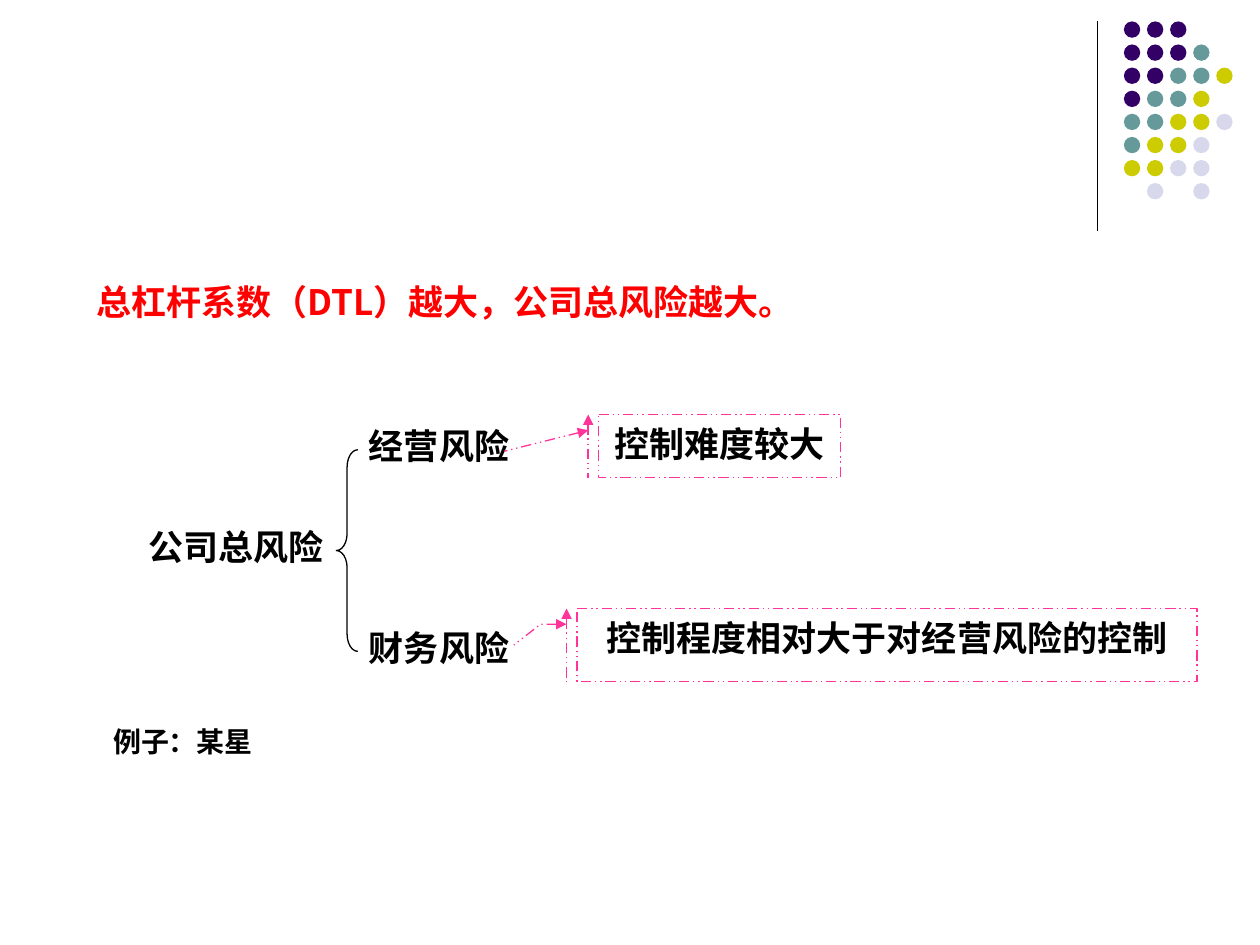
from pptx import Presentation
from pptx.dml.color import RGBColor
from pptx.enum.dml import MSO_LINE
from pptx.enum.shapes import MSO_CONNECTOR, MSO_SHAPE
from pptx.enum.text import MSO_ANCHOR, MSO_AUTO_SIZE, PP_ALIGN
from pptx.oxml.ns import qn
from pptx.util import Inches, Pt
from lxml.etree import SubElement

BLACK = RGBColor(0x00, 0x00, 0x00)
RED = RGBColor(0xFF, 0x00, 0x00)
PINK = RGBColor(0xFF, 0x33, 0x99)
PURPLE = RGBColor(0x33, 0x00, 0x66)
TEAL = RGBColor(0x66, 0x99, 0x99)
OLIVE = RGBColor(0xCC, 0xCC, 0x00)
LAVENDER = RGBColor(0xD8, 0xD8, 0xEC)

DOT_COLORS = {"P": PURPLE, "T": TEAL, "O": OLIVE, "L": LAVENDER}
DOT_ROWS = ["PPP", "PPPT", "PPTTO", "PTTO", "TTOOL", "TOOL", "OOLL", " L L"]
DOT_SIZE, DOT_PITCH = 0.13, 0.55 / 3


class SlideBuilder:
    font = "Noto Sans CJK SC"
    size = 20
    line_width = Pt(0.75)

    def __init__(self, slide):
        self.s = slide

    def fill_text(self, tf, text, color=BLACK, size=None, font=None):
        p = tf.paragraphs[0]
        r = p.add_run()
        r.text = text
        r.font.size = Pt(size or self.size)
        r.font.bold = True
        r.font.color.rgb = color
        r.font.name = font or self.font
        SubElement(r._r.get_or_add_rPr(), qn("a:ea")).set("typeface", self.font)
        return p

    def text(self, x, y, w, h, text, wrap=False, parent=None, **style):
        tb = (parent or self.s).shapes.add_textbox(
            Inches(x), Inches(y), Inches(w), Inches(h))
        tf = tb.text_frame
        tf.word_wrap = wrap
        tf.auto_size = MSO_AUTO_SIZE.SHAPE_TO_FIT_TEXT
        return self.fill_text(tf, text, **style)

    def shape(self, kind, x, y, w, h, fill=None, line=None, adj=(), parent=None):
        sp = (parent or self.s).shapes.add_shape(
            kind, Inches(x), Inches(y), Inches(w), Inches(h))
        sp.shadow.inherit = False
        for i, value in enumerate(adj):
            sp.adjustments[i] = value
        if fill is None:
            sp.fill.background()
        else:
            sp.fill.solid()
            sp.fill.fore_color.rgb = fill
        if line is None:
            sp.line.fill.background()
        else:
            sp.line.color.rgb = line
            sp.line.width = self.line_width
        return sp

    def callout(self, kind, x, y, w, h, adj, text):
        sp = self.shape(kind, x, y, w, h, line=PINK, adj=adj)
        sp.line.dash_style = MSO_LINE.DASH_DOT_DOT
        ln = sp._element.spPr.find(qn("a:ln"))
        SubElement(ln, qn("a:headEnd")).set("type", "triangle")
        tf = sp.text_frame
        tf.word_wrap = True
        tf.vertical_anchor = MSO_ANCHOR.TOP
        p = self.fill_text(tf, text)
        p.alignment = PP_ALIGN.CENTER
        p.line_spacing = 1.05

    def rule(self, x1, y1, x2, y2):
        c = self.s.shapes.add_connector(
            MSO_CONNECTOR.STRAIGHT, Inches(x1), Inches(y1), Inches(x2), Inches(y2))
        c.line.color.rgb = BLACK
        c.line.width = self.line_width
        SubElement(c._element.spPr, qn("a:effectLst"))

    def dots(self, x, y):
        group = self.s.shapes.add_group_shape()
        for row, marks in enumerate(DOT_ROWS):
            for col, mark in enumerate(marks):
                if mark in DOT_COLORS:
                    self.shape(MSO_SHAPE.OVAL, x + col * DOT_PITCH, y + row * DOT_PITCH,
                               DOT_SIZE, DOT_SIZE, fill=DOT_COLORS[mark], parent=group)


def main():
    prs = Presentation()
    prs.slide_width, prs.slide_height = Inches(10), Inches(7.5)
    b = SlideBuilder(prs.slides.add_slide(prs.slide_layouts[6]))

    # Corner decoration
    b.rule(8.71, 0.17, 8.71, 1.83)
    b.dots(8.92, 0.17)

    # Risk tree
    b.text(1.08, 4.12, 1.59, 0.43, "公司总风险")
    tree = b.s.shapes.add_group_shape()
    b.shape(MSO_SHAPE.LEFT_BRACE, 2.67, 3.57, 0.17, 1.6,
            line=BLACK, adj=(0.8, 0.5), parent=tree)
    for y, label in ((3.32, "经营风险"), (4.92, "财务风险")):
        b.text(2.83, y, 1.31, 0.43, label, parent=tree)

    # Key statement
    p = b.text(0.67, 2.08, 6.33, 0.53, "总杠杆系数（DTL）越大，公司总风险越大。",
               wrap=True, color=RED)
    p.line_spacing = 1.3
    p.space_before = p.space_after = Pt(2)

    # Callouts on how far each risk can be controlled
    b.callout(MSO_SHAPE.LINE_CALLOUT_2_BORDER_AND_ACCENT_BAR, 4.58, 4.83, 4.92, 0.58,
              (0.214, -0.017, 0.214, -0.059, 0.5, -0.102),
              "控制程度相对大于对经营风险的控制")
    b.callout(MSO_SHAPE.LINE_CALLOUT_1_BORDER_AND_ACCENT_BAR, 4.75, 3.29, 1.92, 0.5,
              (0.251, -0.043, 0.585, -0.391), "控制难度较大")

    # Example
    b.text(0.8, 5.7, 8.45, 0.37, "例子：某星", wrap=True, size=16, font="Arial")

    prs.save("out.pptx")


if __name__ == "__main__":
    main()
